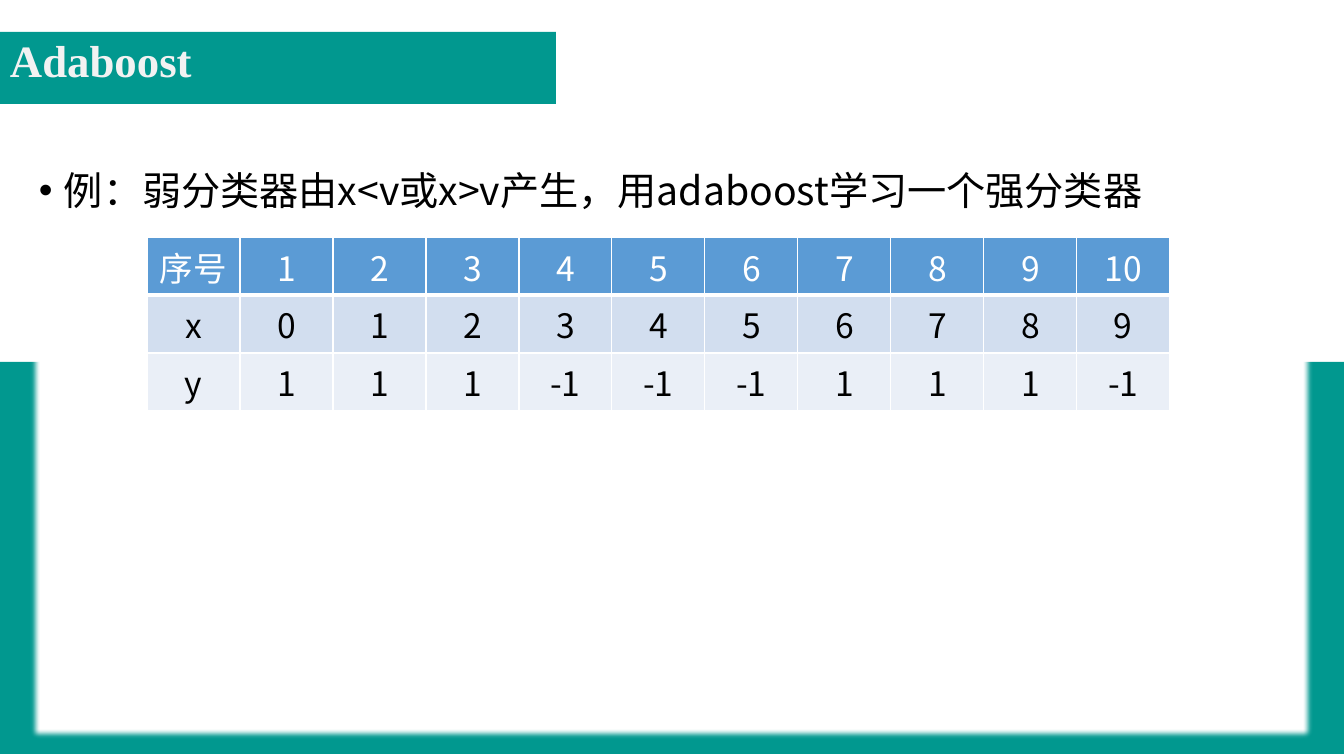
from lxml.etree import SubElement
from pptx import Presentation
from pptx.dml.color import RGBColor
from pptx.enum.shapes import MSO_SHAPE
from pptx.enum.text import MSO_ANCHOR, PP_ALIGN
from pptx.oxml.ns import qn
from pptx.util import Emu, Pt

COLORS = {
    "teal": "01988F", "white": "FFFFFF", "title": "F2F2F2", "black": "000000",
    "header": "5B9BD5", "x row": "D2DEEF", "y row": "EAEFF7",
}
BODY_FONT = "Noto Sans CJK SC"
PX = 914400 / 100.8


def px(*lengths):
    return [Emu(round(length * PX)) for length in lengths]


def format_run(paragraph, font_name, size, color, bold=False):
    font = paragraph.runs[0].font
    font.name, font.size, font.bold = font_name, Pt(size), bold
    font.color.rgb = RGBColor.from_string(COLORS[color])
    SubElement(font._element, qn("a:ea"), typeface=font_name)


presentation = Presentation()
presentation.slide_width, presentation.slide_height = px(1344, 756)
slide = presentation.slides.add_slide(presentation.slide_layouts[6])

# Title band, lower teal frame and white content panel
panels = []
for bounds, color in [
    ((0, 32, 556, 72), "teal"),
    ((-1, 362, 1345, 392), "teal"),
    ((29, 138, 1286, 603), "white"),
]:
    shape = slide.shapes.add_shape(MSO_SHAPE.RECTANGLE, *px(*bounds))
    shape.shadow.inherit = False
    shape.fill.solid()
    shape.fill.fore_color.rgb = RGBColor.from_string(COLORS[color])
    shape.line.fill.background()
    panels.append(shape)
content = panels[-1]

# Soft edge of the content panel
effects = content._element.spPr.find(qn("a:effectLst"))
SubElement(effects, qn("a:softEdge"), rad="63500")

# Title
title = slide.shapes.add_textbox(*px(0, 2, 1159, 122))
title.text_frame.word_wrap = True
title.text_frame.vertical_anchor = MSO_ANCHOR.MIDDLE
paragraph = title.text_frame.paragraphs[0]
paragraph.text = "Adaboost"
paragraph.line_spacing = 0.9
format_run(paragraph, "Times New Roman", 32, "title", bold=True)

# Bulleted example
content.text_frame.word_wrap = True
content.text_frame.vertical_anchor = MSO_ANCHOR.TOP
paragraph = content.text_frame.paragraphs[0]
paragraph.text = "例：弱分类器由x<v或x>v产生，用adaboost学习一个强分类器"
paragraph.alignment = PP_ALIGN.LEFT
paragraph.line_spacing = 1.5
properties = paragraph._p.get_or_add_pPr()
properties.set("marL", str(px(25)[0]))
properties.set("indent", str(px(-25)[0]))
SubElement(properties, qn("a:buFont"), typeface="Arial")
SubElement(properties, qn("a:buChar"), char="•")
format_run(paragraph, BODY_FONT, 28, "black")

# Training samples
samples = [
    ("序号", range(1, 11), "header", "white"),
    ("x", range(10), "x row", "black"),
    ("y", [1, 1, 1, -1, -1, -1, 1, 1, 1, -1], "y row", "black"),
]
table = slide.shapes.add_table(3, 11, *px(147, 237, 1023, 174)).table
for column in table.columns:
    column.width = px(93)[0]
for row_index, (label, values, fill, text_color) in enumerate(samples):
    table.rows[row_index].height = px(58)[0]
    for column_index, value in enumerate([label, *values]):
        cell = table.cell(row_index, column_index)
        cell.text = str(value)
        paragraph = cell.text_frame.paragraphs[0]
        paragraph.alignment = PP_ALIGN.CENTER
        format_run(paragraph, BODY_FONT, 24, text_color)

        # White grid lines, heavier below the header
        cell_properties = cell._tc.get_or_add_tcPr()
        for side in ("lnL", "lnR", "lnT", "lnB"):
            heavy = (row_index, side) in [(0, "lnB"), (1, "lnT")]
            border = SubElement(cell_properties, qn(f"a:{side}"), w=str(Pt(3 if heavy else 1)))
            border_fill = SubElement(border, qn("a:solidFill"))
            SubElement(border_fill, qn("a:srgbClr"), val=COLORS["white"])
        cell.fill.solid()
        cell.fill.fore_color.rgb = RGBColor.from_string(COLORS[fill])

presentation.save("out.pptx")
